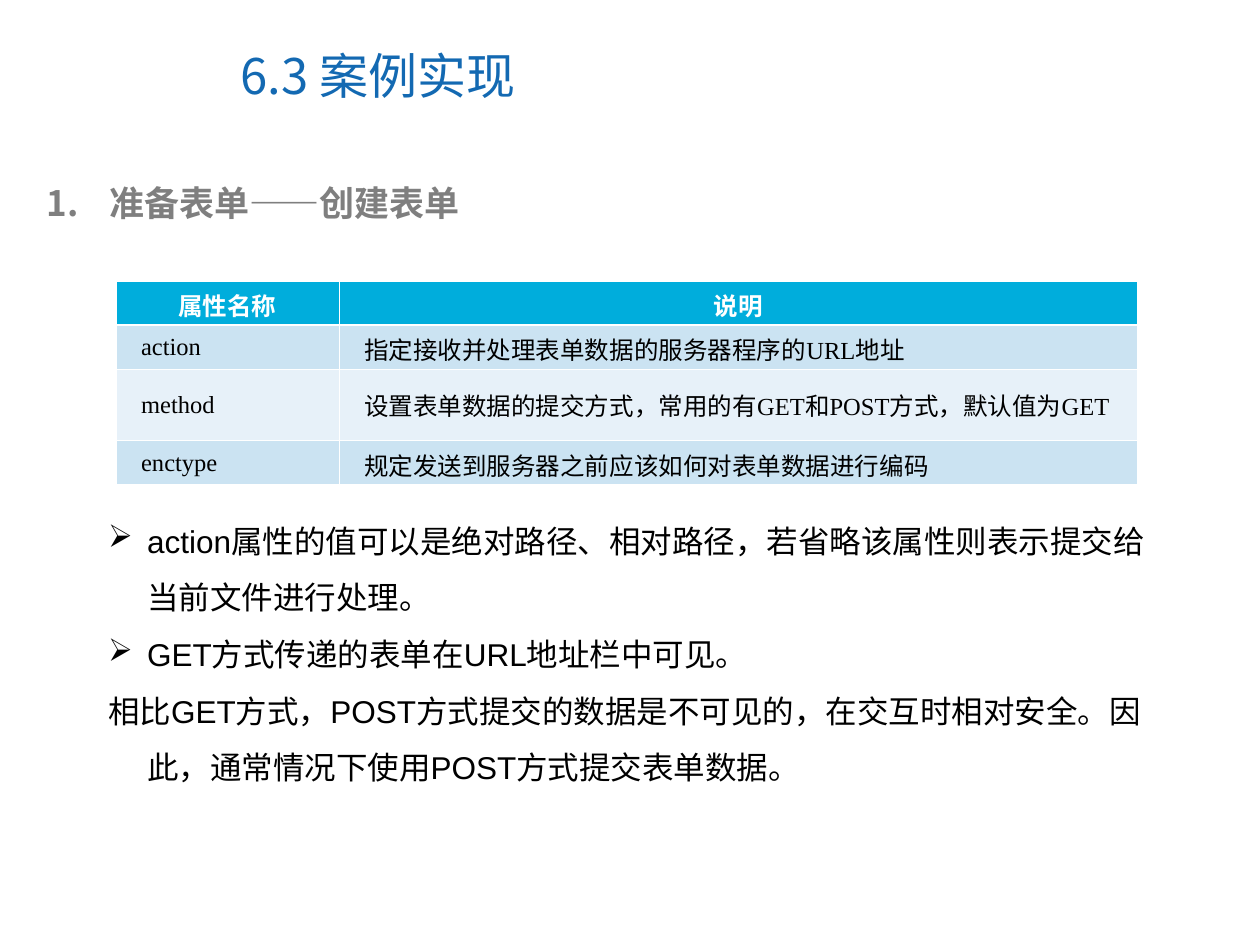
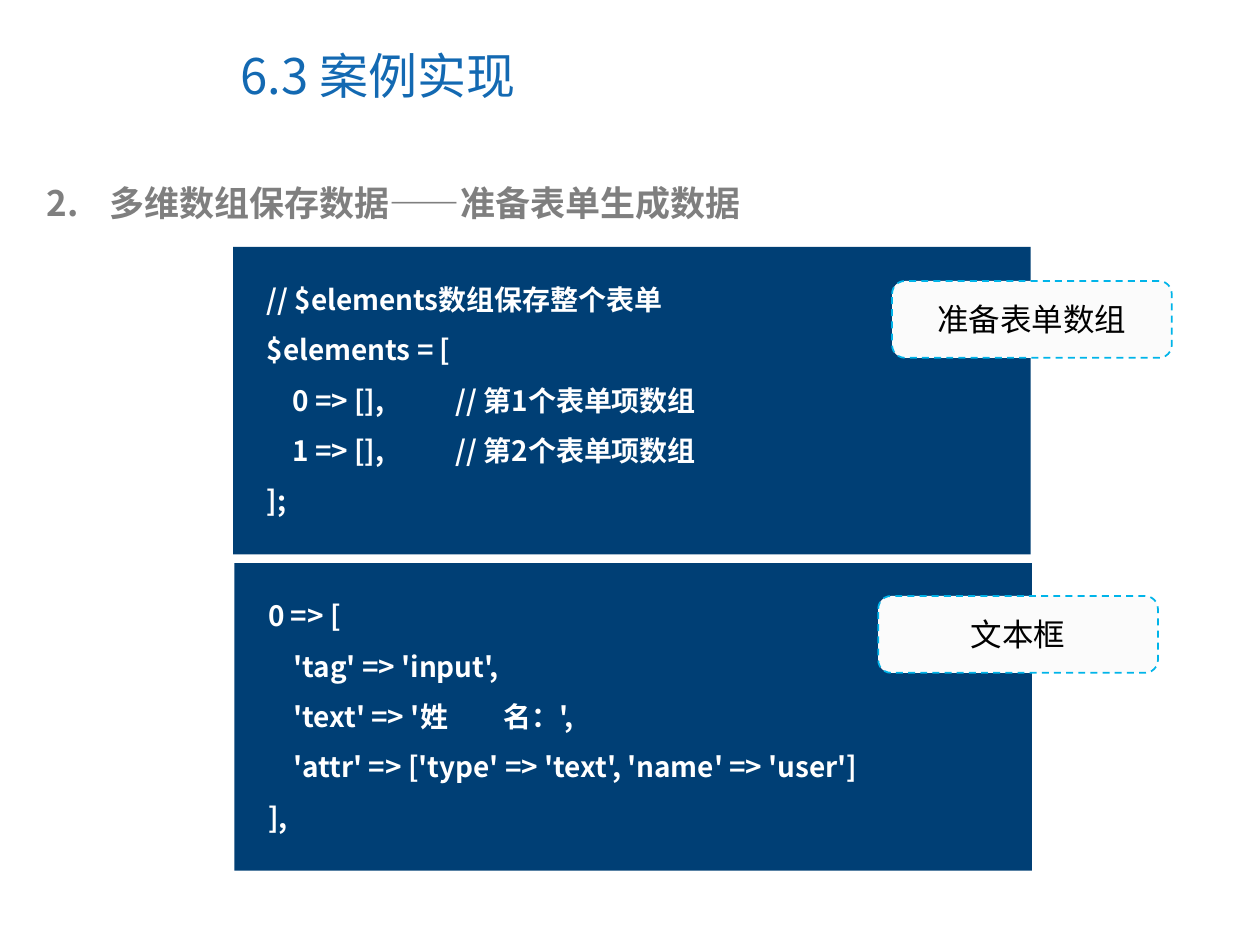
"""Build two slides on form attributes and on form arrays."""
from dataclasses import dataclass
from typing import Any

import lxml.etree
import pptx
import pptx.dml.color
import pptx.enum.dml
import pptx.enum.shapes
import pptx.enum.text
import pptx.oxml.ns
import pptx.util

Inches = pptx.util.Inches
Pt = pptx.util.Pt
qn = pptx.oxml.ns.qn
ALIGN = pptx.enum.text.PP_ALIGN
MIDDLE = pptx.enum.text.MSO_ANCHOR.MIDDLE
SHAPE = pptx.enum.shapes.MSO_SHAPE

CJK, SANS, SERIF = "Noto Sans CJK SC", "Arial", "Times New Roman"
WHITE, BLACK, GREY = "FFFFFF", "000000", "7F7F7F"
TITLE_BLUE, NAVY = "1369B2", "003F75"
HEADER_FILL, BAND_FILLS = "00ADDC", ("CBE3F2", "E7F1F9")
CALLOUT_FILL, CALLOUT_LINE = "FBFBFB", "00B4E9"


@dataclass(frozen=True)
class Style:
    size: float
    font: str
    colour: str
    bold: bool = False


@dataclass(frozen=True)
class CodePanel:
    left: float
    top: float
    lines: tuple[str, ...]


@dataclass(frozen=True)
class Callout:
    left: float
    top: float
    label: str


TITLE = Style(28, CJK, TITLE_BLUE)
HEADING = Style(20, CJK, GREY, True)
BODY = Style(18, SANS, BLACK)
CODE = Style(16, CJK, WHITE, True)
TABLE_HEAD = Style(14, SANS, WHITE, True)
TABLE_BODY = Style(14, SERIF, BLACK)

ATTRIBUTES = (
    ("属性名称", "说明"),
    ("action", "指定接收并处理表单数据的服务器程序的URL地址"),
    ("method", "设置表单数据的提交方式，常用的有GET和POST方式，默认值为GET"),
    ("enctype", "规定发送到服务器之前应该如何对表单数据进行编码"),
)
COLUMN_WIDTHS = (1.77, 6.34)
ROW_HEIGHTS = (0.35, 0.35, 0.47, 0.35)

NOTES = (
    ("➢", "action属性的值可以是绝对路径、相对路径，若省略该属性则表示提交给当前文件进行处理。"),
    ("➢", "GET方式传递的表单在URL地址栏中可见。"),
    ("", "相比GET方式，POST方式提交的数据是不可见的，在交互时相对安全。"
         "因此，通常情况下使用POST方式提交表单数据。"),
)

PANELS = (
    CodePanel(1.85, 1.96, (
        "// $elements数组保存整个表单",
        "$elements = [",
        "    0 => [],\t\t// 第1个表单项数组",
        "    1 => [],\t\t// 第2个表单项数组",
        "];",
    )),
    CodePanel(1.86, 4.47, (
        "0 => [",
        "    'tag' => 'input',",
        "    'text' => '姓　　名：',",
        "    'attr' => ['type' => 'text', 'name' => 'user']",
        "],",
    )),
)
CALLOUTS = (Callout(7.08, 2.23, "准备表单数组"), Callout(6.97, 4.73, "文本框"))


def rgb(value: str) -> pptx.dml.color.RGBColor:
    """Turn a hex string into a colour."""
    return pptx.dml.color.RGBColor.from_string(value)


def add_run(p: Any, text: str, style: Style) -> None:
    """Add one styled run to a paragraph."""
    r = p.add_run()
    r.text = text
    r.font.size = Pt(style.size)
    r.font.name = style.font
    r.font.bold = style.bold
    r.font.color.rgb = rgb(style.colour)
    ea = lxml.etree.SubElement(r._r.get_or_add_rPr(), qn("a:ea"))
    ea.set("typeface", CJK)


def next_paragraph(tf: Any, index: int) -> Any:
    """Return the first paragraph of a frame or append another."""
    return tf.add_paragraph() if index else tf.paragraphs[0]


def set_indent(p: Any, margin: float, first: float = 0) -> Any:
    """Set the left margin and first-line indent of a paragraph."""
    pPr = p._p.get_or_add_pPr()
    pPr.set("marL", str(Inches(margin)))
    pPr.set("indent", str(Inches(first)))
    return pPr


def add_bullet(pPr: Any, colour: str, tag: str, **attributes: str) -> None:
    """Add a coloured bullet or number to paragraph properties."""
    clr = lxml.etree.SubElement(pPr, qn("a:buClr"))
    lxml.etree.SubElement(clr, qn("a:srgbClr")).set("val", colour)
    lxml.etree.SubElement(pPr, qn(tag), attributes)


def add_box(shapes: Any, left: float, top: float, width: float, height: float) -> Any:
    """Add a wrapping text box and return its frame."""
    box = shapes.add_textbox(Inches(left), Inches(top), Inches(width), Inches(height))
    tf = box.text_frame
    tf.word_wrap = True
    return tf


def add_filled(shapes: Any, kind: Any, left: float, top: float,
               width: float, height: float, fill: str) -> Any:
    """Add a flat filled shape without an outline."""
    sp = shapes.add_shape(kind, Inches(left), Inches(top), Inches(width), Inches(height))
    sp.shadow.inherit = False
    sp.fill.solid()
    sp.fill.fore_color.rgb = rgb(fill)
    sp.line.fill.background()
    return sp


def add_slide(prs: Any, number: int, heading: str) -> Any:
    """Add a slide with the shared title and a numbered heading."""
    s = prs.slides.add_slide(prs.slide_layouts[6])
    tf = add_box(s.shapes, 1.81, 0.17, 5.16, 0.85)
    tf.vertical_anchor = MIDDLE
    add_run(tf.paragraphs[0], "6.3 案例实现", TITLE)
    p = add_box(s.shapes, 0.27, 1.39, 9.22, 0.44).paragraphs[0]
    add_bullet(set_indent(p, 0.5, -0.5), GREY, "a:buAutoNum",
               type="arabicPeriod", startAt=str(number))
    add_run(p, heading, HEADING)
    return s


def set_border(cell: Any, side: str, width: float) -> None:
    """Draw one white border of a table cell."""
    tcPr = cell._tc.get_or_add_tcPr()
    ln = lxml.etree.SubElement(tcPr, qn(f"a:ln{side}"), w=str(Pt(width)))
    fill = lxml.etree.SubElement(ln, qn("a:solidFill"))
    lxml.etree.SubElement(fill, qn("a:srgbClr")).set("val", WHITE)


def fill_cell(cell: Any, text: str, row: int) -> None:
    """Style a table cell by its row and write its text."""
    heavy_side = {0: "B", 1: "T"}.get(row)
    for side in "LRTB":
        set_border(cell, side, 1.5 if side == heavy_side else 0.45)
    cell.fill.solid()
    cell.fill.fore_color.rgb = rgb(BAND_FILLS[(row - 1) % 2] if row else HEADER_FILL)
    cell.vertical_anchor = MIDDLE
    cell.margin_left = cell.margin_right = Inches(0.08)
    p = cell.text_frame.paragraphs[0]
    if row:
        p.alignment = ALIGN.JUSTIFY
        set_indent(p, 0.12)
    else:
        p.alignment = ALIGN.CENTER
    add_run(p, text, TABLE_BODY if row else TABLE_HEAD)


def add_attribute_table(s: Any) -> None:
    """Add the table of form attributes."""
    table = s.shapes.add_table(
        len(ATTRIBUTES), len(COLUMN_WIDTHS), Inches(0.92), Inches(2.23),
        Inches(sum(COLUMN_WIDTHS)), Inches(sum(ROW_HEIGHTS))).table
    for column, width in zip(table.columns, COLUMN_WIDTHS):
        column.width = Inches(width)
    for i, (texts, height) in enumerate(zip(ATTRIBUTES, ROW_HEIGHTS)):
        table.rows[i].height = Inches(height)
        for j, text in enumerate(texts):
            fill_cell(table.cell(i, j), text, i)


def add_notes_text(s: Any) -> None:
    """Add the remarks below the table."""
    tf = add_box(s.shapes, 0.76, 3.94, 8.46, 2.35)
    for i, (mark, text) in enumerate(NOTES):
        p = next_paragraph(tf, i)
        pPr = set_indent(p, 0.31, -0.31)
        if mark:
            add_bullet(pPr, BLACK, "a:buChar", char=mark)
        p.line_spacing = 1.5
        add_run(p, text, BODY)


def add_code_panel(s: Any, panel: CodePanel) -> None:
    """Add a dark panel grouped with its lines of code."""
    shapes = s.shapes.add_group_shape().shapes
    add_filled(shapes, SHAPE.RECTANGLE, panel.left, panel.top, 6.33, 2.44, NAVY)
    tf = add_box(shapes, panel.left + 0.17, panel.top + 0.1, 6.12, 2.1)
    for i, line in enumerate(panel.lines):
        p = next_paragraph(tf, i)
        p.line_spacing = 1.5
        add_run(p, line, CODE)


def add_callout(s: Any, callout: Callout) -> None:
    """Add a dashed rounded label."""
    sp = add_filled(s.shapes, SHAPE.ROUNDED_RECTANGLE, callout.left, callout.top,
                    2.22, 0.61, CALLOUT_FILL)
    sp.line.color.rgb = rgb(CALLOUT_LINE)
    sp.line.width = Pt(1)
    sp.line.dash_style = pptx.enum.dml.MSO_LINE.DASH
    tf = sp.text_frame
    tf.word_wrap = True
    tf.vertical_anchor = MIDDLE
    p = tf.paragraphs[0]
    p.alignment = ALIGN.CENTER
    add_run(p, callout.label, BODY)


def main() -> None:
    """Build and save the presentation."""
    prs = pptx.Presentation()
    prs.slide_width, prs.slide_height = Inches(10), Inches(7.5)

    s = add_slide(prs, 1, "准备表单——创建表单")
    add_attribute_table(s)
    add_notes_text(s)

    s = add_slide(prs, 2, "多维数组保存数据——准备表单生成数据")
    for panel in PANELS:
        add_code_panel(s, panel)
    for callout in CALLOUTS:
        add_callout(s, callout)

    prs.save("out.pptx")


if __name__ == "__main__":
    main()
